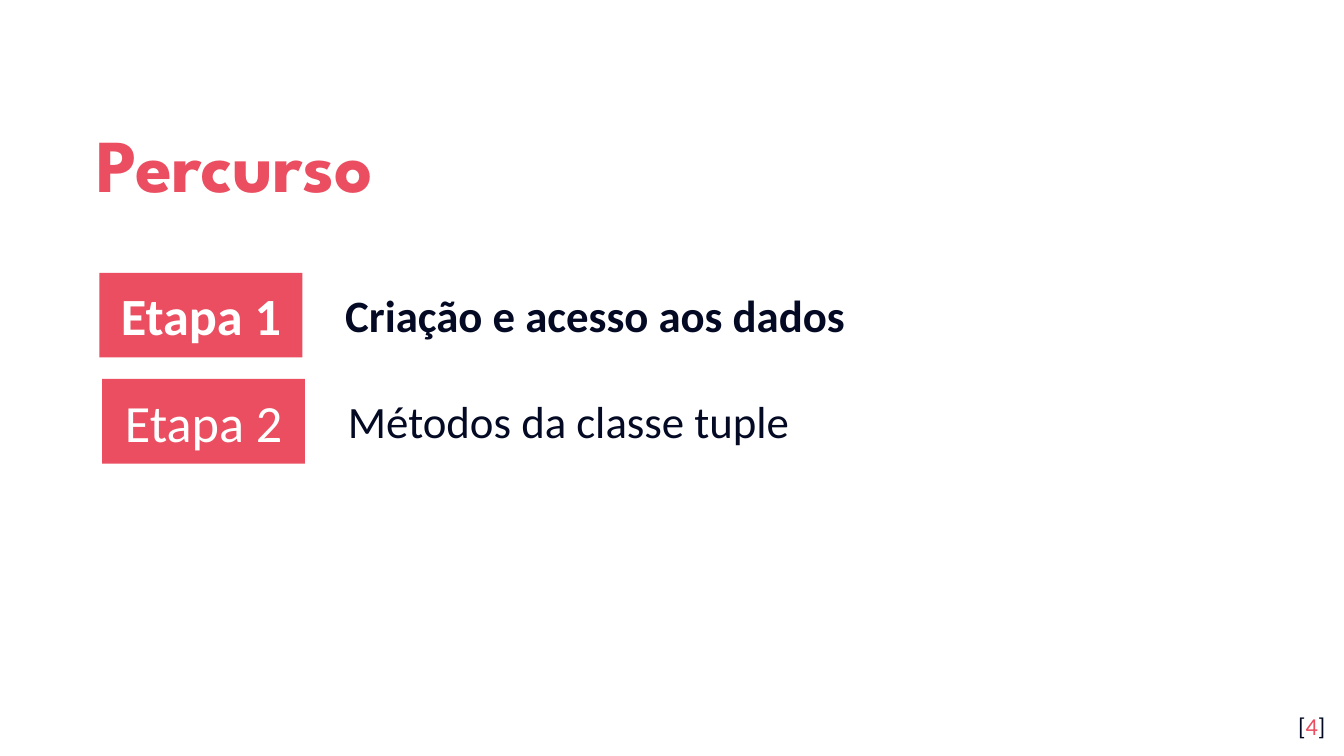
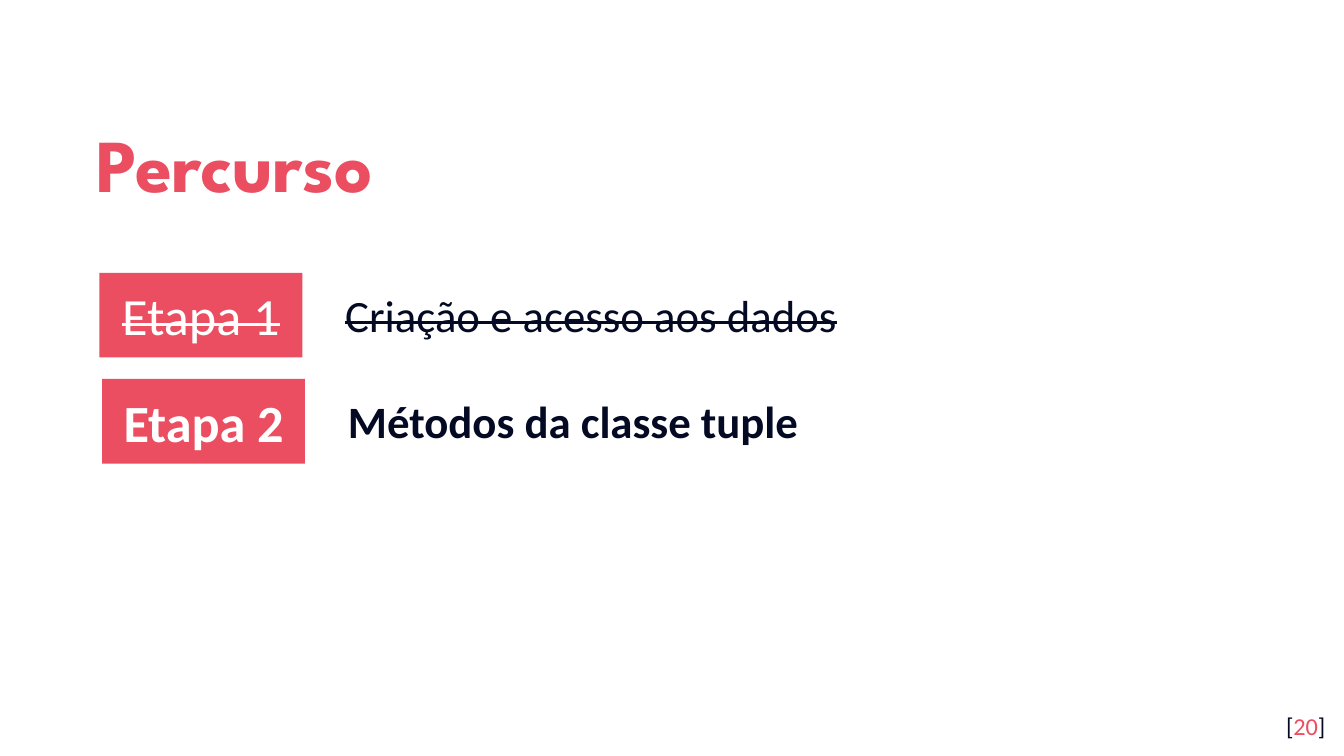
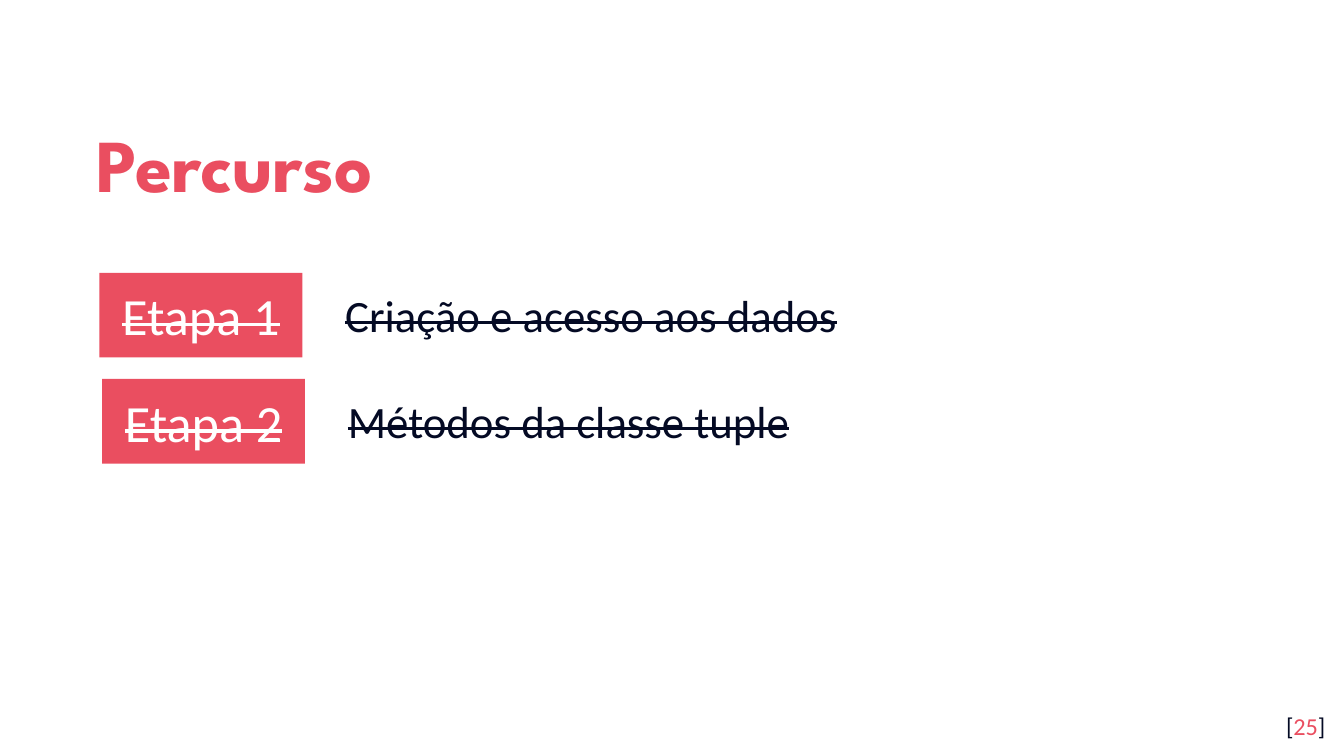
from pptx import Presentation
from pptx.dml.color import RGBColor
from pptx.enum.shapes import MSO_SHAPE
from pptx.enum.text import MSO_ANCHOR, MSO_AUTO_SIZE, PP_ALIGN
from pptx.util import Inches, Pt

RECTANGLE = MSO_SHAPE.RECTANGLE
TOP, MIDDLE = MSO_ANCHOR.TOP, MSO_ANCHOR.MIDDLE
LEFT, CENTER, RIGHT = PP_ALIGN.LEFT, PP_ALIGN.CENTER, PP_ALIGN.RIGHT
NO_AUTOFIT = MSO_AUTO_SIZE.NONE

COLORS = {"accent": "EA4E60", "ink": "040A24", "paper": "FFFFFF"}
TITLE_FONT, BODY_FONT = "League Spartan", "Calibri"
TITLE_ONLY = 5

STAGES = ["Criação e acesso aos dados", "Métodos da classe tuple"]
ROW_PITCH, ROW_SHIFT = 0.79, 0.02
PLAIN, CURRENT, DONE = {}, {"bold": True}, {"strike": True}
PROGRESS = [
    (4, [CURRENT, PLAIN]),
    (20, [DONE, CURRENT]),
    (25, [DONE, DONE]),
]


def add_run(paragraph, text, size, color, font=BODY_FONT, bold=False, strike=False):
    run = paragraph.add_run()
    run.text = text
    run.font.size = Pt(size)
    run.font.name = font
    run.font.bold = bold
    run.font.color.rgb = RGBColor.from_string(COLORS[color])
    if strike:
        run._r.get_or_add_rPr().set("strike", "sngStrike")


def write(shape, pieces, align=LEFT, anchor=TOP, inset=0.1, **style):
    """Fill the shape with one paragraph of (text, colour) pieces; return the paragraph."""
    frame = shape.text_frame
    frame.word_wrap = True
    frame.auto_size = NO_AUTOFIT
    frame.vertical_anchor = anchor
    frame.margin_left = frame.margin_right = Inches(0.1)
    frame.margin_top = frame.margin_bottom = Inches(inset)
    paragraph = frame.paragraphs[0]
    paragraph.alignment = align
    for text, color in pieces:
        add_run(paragraph, text, color=color, **style)
    return paragraph


def add_title(slide, text):
    title = slide.shapes.title
    title.left, title.top = Inches(0.62), Inches(0.7)
    title.width, title.height = Inches(8.1), Inches(0.92)
    paragraph = write(title, [(text, "accent")], anchor=MIDDLE,
                      size=40, font=TITLE_FONT, bold=True)
    paragraph.line_spacing = 1.15


def add_page_number(slide, number):
    box = slide.shapes.add_textbox(Inches(9.36), Inches(5.19), Inches(0.6), Inches(0.43))
    write(box, [("[", "ink"), (str(number), "accent"), ("]", "ink")], align=RIGHT, size=13)


def add_stage(slide, row, topic, state):
    shift, top = row * ROW_SHIFT, 2.03 + row * ROW_PITCH
    badge = slide.shapes.add_shape(RECTANGLE, Inches(0.74 + shift), Inches(top),
                                   Inches(1.51), Inches(0.63))
    badge.shadow.inherit = False
    badge.fill.solid()
    badge.fill.fore_color.rgb = RGBColor.from_string(COLORS["accent"])
    badge.line.fill.background()
    write(badge, [(f"Etapa {row + 1}", "paper")], align=CENTER, anchor=MIDDLE,
          size=28, **state)

    label = slide.shapes.add_textbox(Inches(2.47 + shift), Inches(top + 0.06),
                                     Inches(6.75), Inches(0.5))
    paragraph = write(label, [(topic, "ink")], inset=0.05, size=24, **state)
    hanging = paragraph._p.get_or_add_pPr()
    hanging.set("marL", str(Inches(0.5)))
    hanging.set("indent", str(Inches(-0.5)))


def main():
    deck = Presentation()
    deck.slide_width = Inches(10)
    deck.slide_height = deck.slide_width * 9 // 16
    for number, states in PROGRESS:
        slide = deck.slides.add_slide(deck.slide_layouts[TITLE_ONLY])
        add_title(slide, "Percurso")
        add_page_number(slide, number)
        for row, (topic, state) in enumerate(zip(STAGES, states)):
            add_stage(slide, row, topic, state)
    deck.save("out.pptx")


if __name__ == "__main__":
    main()
